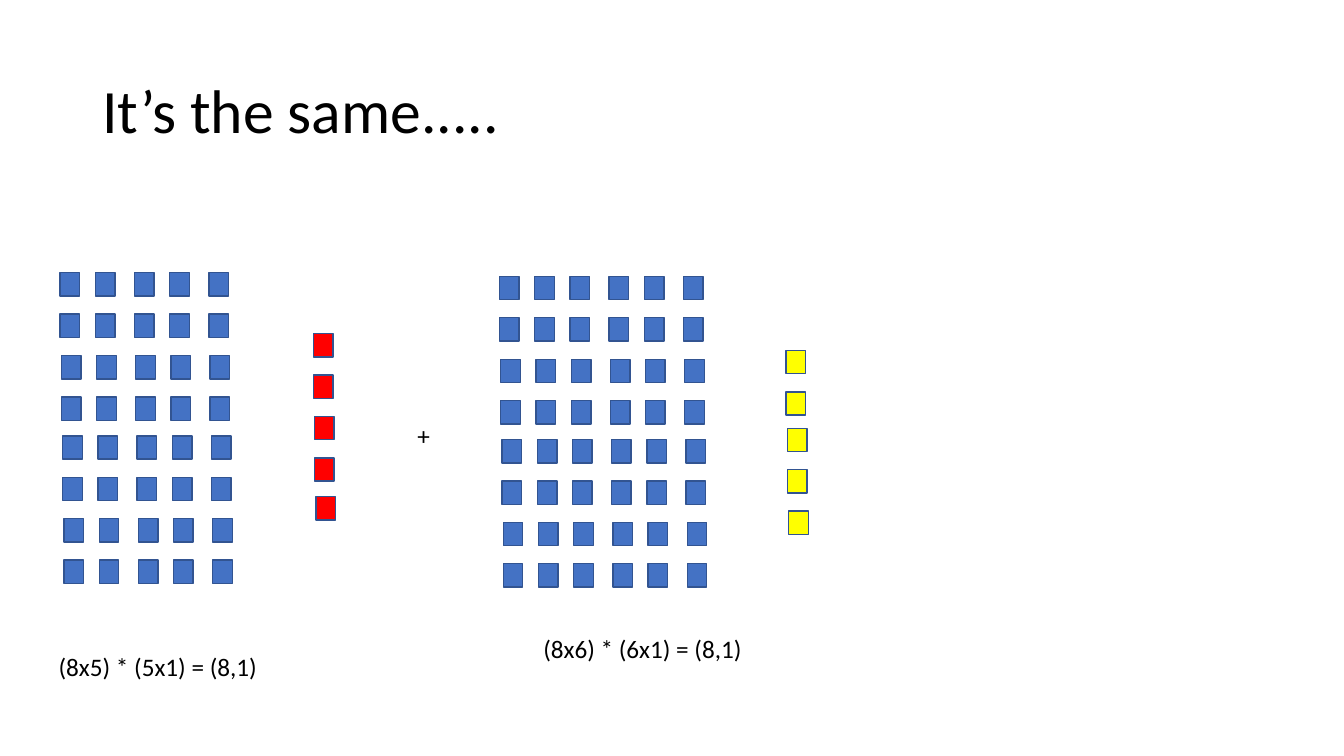
"""Build a slide that shows a sum of two matrix products as grids of cells."""
from dataclasses import dataclass
from pptx import Presentation
from pptx.dml.color import RGBColor as RGB
from pptx.enum.shapes import MSO_SHAPE as Shape
from pptx.enum.text import MSO_ANCHOR as Anchor, MSO_AUTO_SIZE as Fit, PP_ALIGN as Align
from pptx.util import Pt


@dataclass(frozen=True)
class Theme:
    font: str = "Calibri"
    ink: str = "000000"
    edge: str = "325491"
    blue: str = "4472C4"
    red: str = "FF0000"
    gold: str = "FFFF00"
    head: int = 44
    body: int = 18


look = Theme()
title = "It’s the same....."
labels = [
    ("(8x5) * (5x1) = (8,1)", 34.8, 462),
    ("(8x6) * (6x1) = (8,1)", 381, 448.5),
    ("+", 291, 296.8),
]
near, far = 25.2, 27.9
grids = [
    dict(left=43, top=194.8, rows=8, steps=[near, far, near, far], fill=look.blue, split=4, cut=1.9),
    dict(left=223.8, top=238.2, rows=5, steps=[], fill=look.red, split=4, cut=1.9),
    dict(left=356.8, top=197.4, rows=8, steps=[near, near, far, near, far], fill=look.blue, split=4, cut=1.9),
    dict(left=561.6, top=250.3, rows=5, steps=[], fill=look.gold, split=2, cut=3.6),
]
wide, high = 14, 16.7
pitch, drift = 29.6, 0.9

deck = Presentation()
deck.slide_width, deck.slide_height = Pt(960), Pt(540)
slide = deck.slides.add_slide(deck.slide_layouts[5])


def place(shape, *box):
    for name, size in zip(("left", "top", "width", "height"), box):
        setattr(shape, name, Pt(size))


def write(shape, text, size, **frame):
    for name, value in frame.items():
        setattr(shape.text_frame, name, value)
    para = shape.text_frame.paragraphs[0]
    para.alignment = Align.LEFT
    run = para.add_run()
    run.text = text
    for name, value in dict(name=look.font, size=Pt(size)).items():
        setattr(run.font, name, value)
    run.font.color.rgb = RGB.from_string(look.ink)
    return para


def cell(left, top, fill):
    box = slide.shapes.add_shape(Shape.RECTANGLE, Pt(left), Pt(top), Pt(wide), Pt(high))
    box.shadow.inherit = False
    box.fill.solid()
    box.fill.fore_color.rgb = RGB.from_string(fill)
    box.line.color.rgb = RGB.from_string(look.edge)
    box.line.width = Pt(1)


def draw(left, top, rows, steps, fill, split, cut):
    for row in range(rows):
        down = top + row * pitch - (cut if row >= split else 0)
        for col in range(len(steps) + 1):
            cell(left + sum(steps[:col]) + row // 2 * drift, down, fill)


head = slide.shapes.title
place(head, 66, 28.8, 828, 104.4)
para = write(head, title, look.head, vertical_anchor=Anchor.MIDDLE, auto_size=Fit.NONE)
para.line_spacing = 0.9
for grid in grids:
    draw(**grid)
for text, left, top in labels:
    box = slide.shapes.add_textbox(Pt(left), Pt(top), Pt(216), Pt(29))
    write(box, text, look.body, word_wrap=True, auto_size=Fit.SHAPE_TO_FIT_TEXT)

deck.save("out.pptx")
